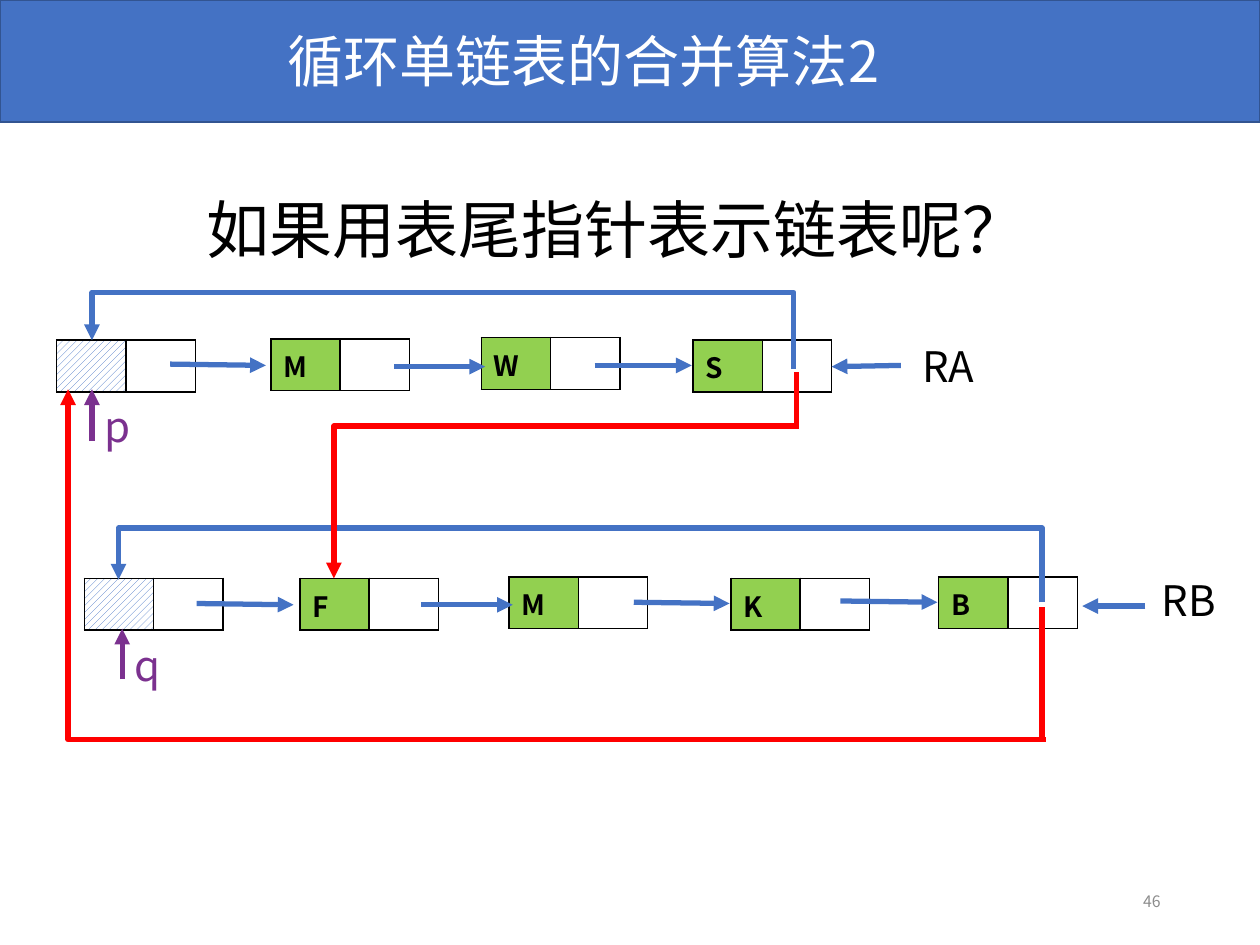
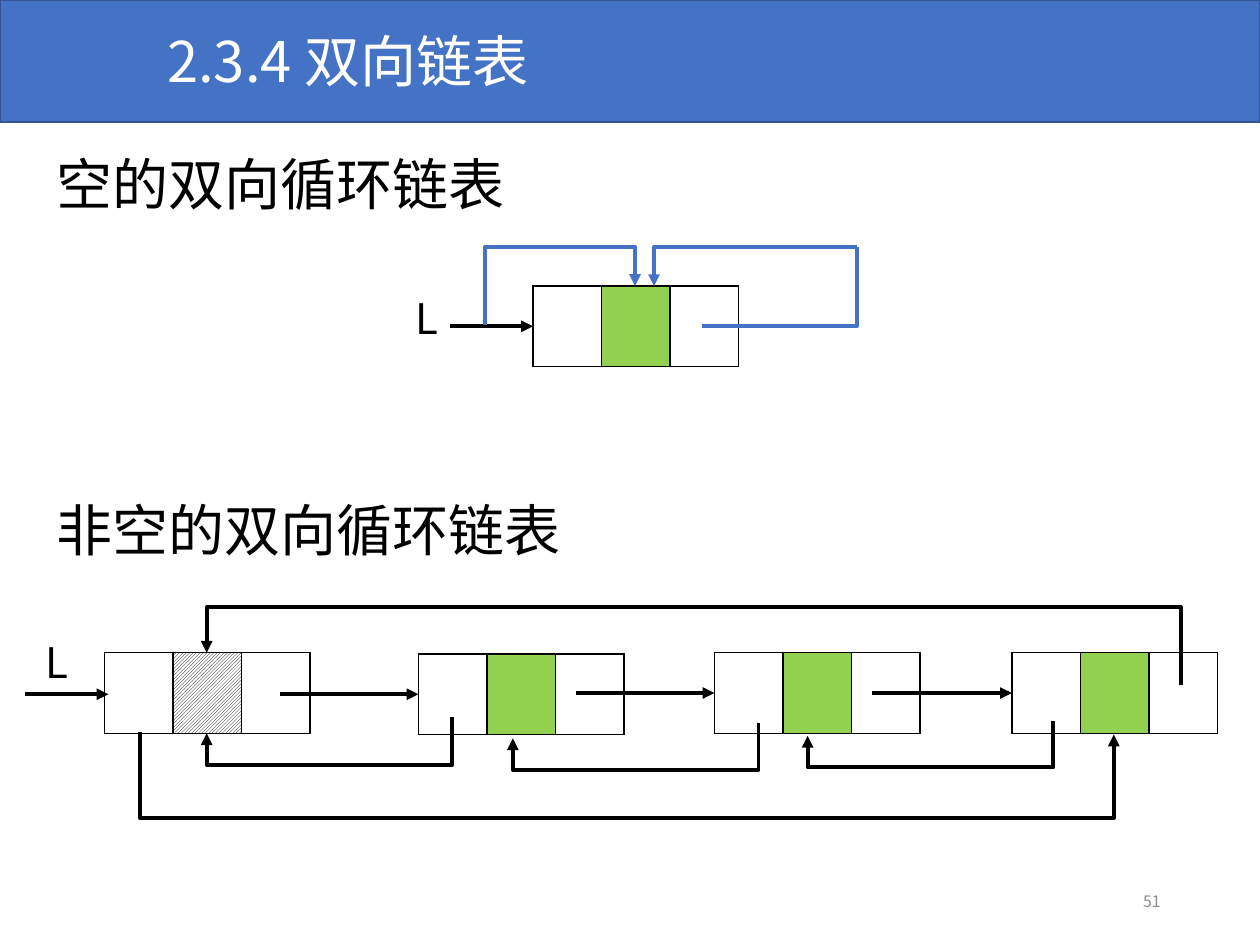
from lxml import etree
from pptx import Presentation
from pptx.dml.color import RGBColor
from pptx.enum.dml import MSO_PATTERN
from pptx.enum.shapes import MSO_CONNECTOR, MSO_SHAPE
from pptx.enum.text import MSO_ANCHOR, PP_ALIGN
from pptx.oxml import parse_xml
from pptx.oxml.ns import nsdecls, qn
from pptx.util import Inches, Pt

FONT = "Noto Sans CJK SC"
BLUE, BAND_EDGE, GREEN = "4472C4", "325491", "92D050"
RED, PURPLE, BLACK, WHITE, GREY = "FF0000", "7B318F", "000000", "FFFFFF", "8C8C8C"

# ---- Content: merging circular lists by tail pointer ----
MERGE_TITLE = "循环单链表的合并算法2"
MERGE_QUESTION = "如果用表尾指针表示链表呢？"
DATA_WIDTH, SINGLE_HEIGHT = 0.55, 0.41
# Left, top, letter; the head node has no letter
SINGLE_NODES = [
    (0.45, 2.7, ""), (2.15, 2.69, "M"), (3.82, 2.68, "W"), (5.5, 2.7, "S"),
    (0.67, 4.59, ""), (2.38, 4.59, "F"), (4.04, 4.58, "M"), (5.8, 4.59, "K"),
    (7.45, 4.58, "B"),
]
NEXT_LINKS = [
    ((1.35, 2.89), (2.11, 2.9)), ((3.13, 2.91), (3.85, 2.91)),
    ((4.72, 2.9), (5.49, 2.9)), ((7.15, 2.9), (6.6, 2.91)),
    ((1.56, 4.79), (2.33, 4.8)), ((3.34, 4.8), (4.07, 4.8)),
    ((5.03, 4.78), (5.79, 4.79)), ((6.67, 4.77), (7.44, 4.78)),
    ((9.09, 4.81), (8.59, 4.81)),
]
# Start, level of the long run, end
TAIL_TO_HEAD = [((6.3, 2.93), 2.32, (0.73, 2.7)), ((8.27, 4.78), 4.19, (0.94, 4.6))]
HEAD_POINTERS = [((0.73, 3.5), (0.73, 3.09)), ((0.97, 5.39), (0.97, 4.99))]
# Stub out of the tail, then corner arrow to its new target
MERGED_LINKS = [
    ((6.32, 2.95), (6.32, 3.38), (6.34, 3.38), (2.65, 4.59)),
    ((8.27, 4.82), (8.27, 5.87), (8.3, 5.87), (0.54, 3.09)),
]
POINTER_NAMES = [
    ("RA", 7.22, 2.65, 0.67, BLACK), ("RB", 9.12, 4.51, 0.67, BLACK),
    ("p", 0.73, 3.13, 0.39, PURPLE), ("q", 0.97, 5.03, 0.39, PURPLE),
]

# ---- Content: doubly linked lists ----
DOUBLE_TITLE = "2.3.4 双向链表"
CASES = [("空的双向循环链表", 1.14, 9.51), ("非空的双向循环链表", 3.88, 5.5)]
PART_WIDTH, DOUBLE_HEIGHT = 0.544, 0.64
# Left, top, is head of the non-empty list
DOUBLE_NODES = [
    (4.23, 2.27, False), (0.83, 5.18, True), (3.32, 5.19, False),
    (5.67, 5.18, False), (8.03, 5.18, False),
]
LIST_NAMES = [(3.2, 2.27), (0.26, 5)]
FORWARD_LINKS = [
    ((3.57, 2.59), (4.23, 2.59)), ((0.2, 5.51), (0.86, 5.51)),
    ((2.22, 5.51), (3.32, 5.51)), ((4.57, 5.5), (5.67, 5.5)),
    ((6.92, 5.5), (8.03, 5.5)),
]
BACK_LINKS = [
    ((3.59, 5.69), 6.07, (1.64, 5.82)), ((6.02, 5.74), 6.11, (4.07, 5.86)),
    ((8.36, 5.72), 6.09, (6.41, 5.84)), ((9.37, 5.44), 4.82, (1.64, 5.18)),
]
HEAD_TO_TAIL = ((1.11, 5.81), 6.49, (8.84, 5.83))


def color(hex_value):
    return RGBColor.from_string(hex_value)


def add_text(slide, words, left, top, width, height, size, ink=BLACK,
             align=PP_ALIGN.LEFT, anchor=MSO_ANCHOR.TOP, wrap=True):
    box = slide.shapes.add_textbox(*map(Inches, (left, top, width, height)))
    box.text_frame.word_wrap = wrap
    box.text_frame.vertical_anchor = anchor
    write(box.text_frame.paragraphs[0], words, size, ink, align)


def write(paragraph, words, size, ink, align=PP_ALIGN.LEFT, bold=False):
    paragraph.text = words
    paragraph.alignment = align
    font = paragraph.font
    font.size, font.bold, font.name = Pt(size), bold, FONT
    font.color.rgb = color(ink)
    defaults = paragraph._p.pPr.find(qn("a:defRPr"))
    etree.SubElement(defaults, qn("a:ea")).set("typeface", FONT)


def add_cell(slide, left, top, width, height, fill=WHITE, letter="", hatch=None):
    """One bordered field of a list node."""
    frame = slide.shapes.add_table(1, 1, *map(Inches, (left, top, width, height)))
    frame.table.first_row = frame.table.horz_banding = False
    cell = frame.table.cell(0, 0)
    cell.margin_top = Inches(0.05 if letter else 0)
    cell.margin_bottom = 0
    if hatch:
        cell.fill.patterned()
        cell.fill.pattern = hatch
        cell.fill.fore_color.rgb = color(fill)
        cell.fill.back_color.rgb = color(WHITE)
    else:
        cell.fill.solid()
        cell.fill.fore_color.rgb = color(fill)
    for order, side in enumerate(("lnL", "lnR", "lnT", "lnB")):
        cell._tc.tcPr.insert(order, parse_xml(
            f'<a:{side} {nsdecls("a")} w="12700"><a:solidFill>'
            f'<a:srgbClr val="{BLACK}"/></a:solidFill></a:{side}>'))
    if letter:
        write(cell.text_frame.paragraphs[0], letter, 16, BLACK, bold=True)


def add_link(slide, start, end, ink, weight, head=True, kind=MSO_CONNECTOR.STRAIGHT):
    link = slide.shapes.add_connector(kind, *map(Inches, (*start, *end)))
    link.line.color.rgb = color(ink)
    link.line.width = Pt(weight)
    if head:
        line = link.line._get_or_add_ln()
        etree.SubElement(line, qn("a:tailEnd")).set("type", "triangle")
    etree.SubElement(link._element.spPr, qn("a:effectLst"))
    return link


def bend(link, preset, *adjustments):
    """Set the bends; a leftward link is turned by 180 degrees."""
    geometry = link._element.spPr.find(qn("a:prstGeom"))
    geometry.set("prst", preset)
    for old in list(geometry):
        geometry.remove(old)
    guides = etree.SubElement(geometry, qn("a:avLst"))
    for number, value in enumerate(adjustments, 1):
        guide = etree.SubElement(guides, qn("a:gd"))
        guide.set("name", f"adj{number}" if len(adjustments) > 1 else "adj1")
        guide.set("fmla", f"val {round(value * 100000)}")
    frame = link._element.spPr.find(qn("a:xfrm"))
    if frame.get("flipH") == "1":
        upright = frame.get("flipV") != "1"
        frame.set("flipH", "0")
        frame.set("flipV", "1" if upright else "0")
        frame.set("rot", "10800000")


def add_corner(slide, start, end, ink, weight, head=True):
    """Sideways first, then up or down."""
    link = add_link(slide, start, end, ink, weight, head, MSO_CONNECTOR.ELBOW)
    bend(link, "bentConnector3", 1)


def add_detour(slide, start, level, end, ink, weight):
    """Up or down to a level, along it, then back to the end."""
    link = add_link(slide, start, end, ink, weight, kind=MSO_CONNECTOR.ELBOW)
    bend(link, "bentConnector4", 0, (level - start[1]) / (end[1] - start[1]))


def add_trough(slide, start, level, end, ink, weight):
    """Down, right and up between two ends of nearly equal height."""
    link = add_link(slide, start, end, ink, weight, kind=MSO_CONNECTOR.ELBOW)
    run, drop = end[0] - start[0], end[1] - start[1]
    bend(link, "bentConnector3", (level - start[1]) / drop)
    link.left = Inches((start[0] + end[0] - drop) / 2)
    link.top = Inches((start[1] + end[1] - run) / 2)
    link.width, link.height = Inches(drop), Inches(run)
    frame = link._element.spPr.find(qn("a:xfrm"))
    frame.set("rot", "16200000")
    frame.set("flipH", "1")


def new_slide(deck, title, page, align=PP_ALIGN.LEFT):
    """Blank slide with title band and page number."""
    slide = deck.slides.add_slide(deck.slide_layouts[6])
    band = slide.shapes.add_shape(MSO_SHAPE.RECTANGLE, 0, 0, Inches(10), Inches(0.97))
    band.shadow.inherit = False
    band.fill.solid()
    band.fill.fore_color.rgb = color(BLUE)
    band.line.color.rgb = color(BAND_EDGE)
    band.line.width = Pt(1)
    add_text(slide, title, 1.23, 0.16, 6.8, 0.64, 32, WHITE, align)
    add_text(slide, page, 7.06, 6.95, 2.25, 0.4, 9, GREY, PP_ALIGN.RIGHT,
             MSO_ANCHOR.MIDDLE)
    return slide


def build_merge(deck):
    slide = new_slide(deck, MERGE_TITLE, "46", PP_ALIGN.CENTER)
    add_text(slide, MERGE_QUESTION, 1.54, 1.46, 7.22, 0.71, 36)
    for left, top, letter in SINGLE_NODES:
        size = DATA_WIDTH, SINGLE_HEIGHT
        if letter:
            add_cell(slide, left, top, *size, GREEN, letter)
        else:
            add_cell(slide, left, top, *size, BLUE,
                     hatch=MSO_PATTERN.WIDE_UPWARD_DIAGONAL)
        add_cell(slide, left + DATA_WIDTH, top, *size)
    for start, end in NEXT_LINKS:
        add_link(slide, start, end, BLUE, 3)
    for start, level, end in TAIL_TO_HEAD:
        add_detour(slide, start, level, end, BLUE, 3)
    for name, left, top, width, ink in POINTER_NAMES:
        add_text(slide, name, left, top, width, 0.5, 24, ink)
    for start, end in HEAD_POINTERS:
        add_link(slide, start, end, PURPLE, 3)
    for tail, stub_end, start, end in MERGED_LINKS:
        add_corner(slide, start, end, RED, 3)
        add_link(slide, stub_end, tail, RED, 3, head=False)


def build_double(deck):
    slide = new_slide(deck, DOUBLE_TITLE, "51")
    for caption, top, width in CASES:
        add_text(slide, caption, 0.35, top, width, 0.64, 32)
    # Each node: previous, data, next
    for left, top, is_head in DOUBLE_NODES:
        size = PART_WIDTH, DOUBLE_HEIGHT
        hatch = MSO_PATTERN.LIGHT_UPWARD_DIAGONAL if is_head else None
        add_cell(slide, left + PART_WIDTH, top, *size, BLACK if is_head else GREEN,
                 hatch=hatch)
        for part in (2, 0):
            add_cell(slide, left + part * PART_WIDTH, top, *size)
    for left, top in LIST_NAMES:
        add_text(slide, "L", left, top, 0.38, 0.5, 24, wrap=False)
    for start, end in FORWARD_LINKS:
        add_link(slide, start, end, BLACK, 2.25)
    # Empty list: both links return to the node
    add_detour(slide, (3.85, 2.58), 1.96, (5.04, 2.27), BLUE, 2.25)
    add_corner(slide, (5.85, 1.96), (5.19, 2.27), BLUE, 2.25)
    add_corner(slide, (5.57, 2.59), (6.8, 1.96), BLUE, 2.25, head=False)
    add_link(slide, (5.85, 1.96), (6.8, 1.96), BLUE, 2.25, head=False)
    # Non-empty list: links back and around
    for start, level, end in BACK_LINKS:
        add_detour(slide, start, level, end, BLACK, 2.25)
    add_trough(slide, *HEAD_TO_TAIL, BLACK, 2.25)


def main():
    deck = Presentation()
    deck.slide_width, deck.slide_height = Inches(10), Inches(7.5)
    build_merge(deck)
    build_double(deck)
    deck.save("out.pptx")


if __name__ == "__main__":
    main()
